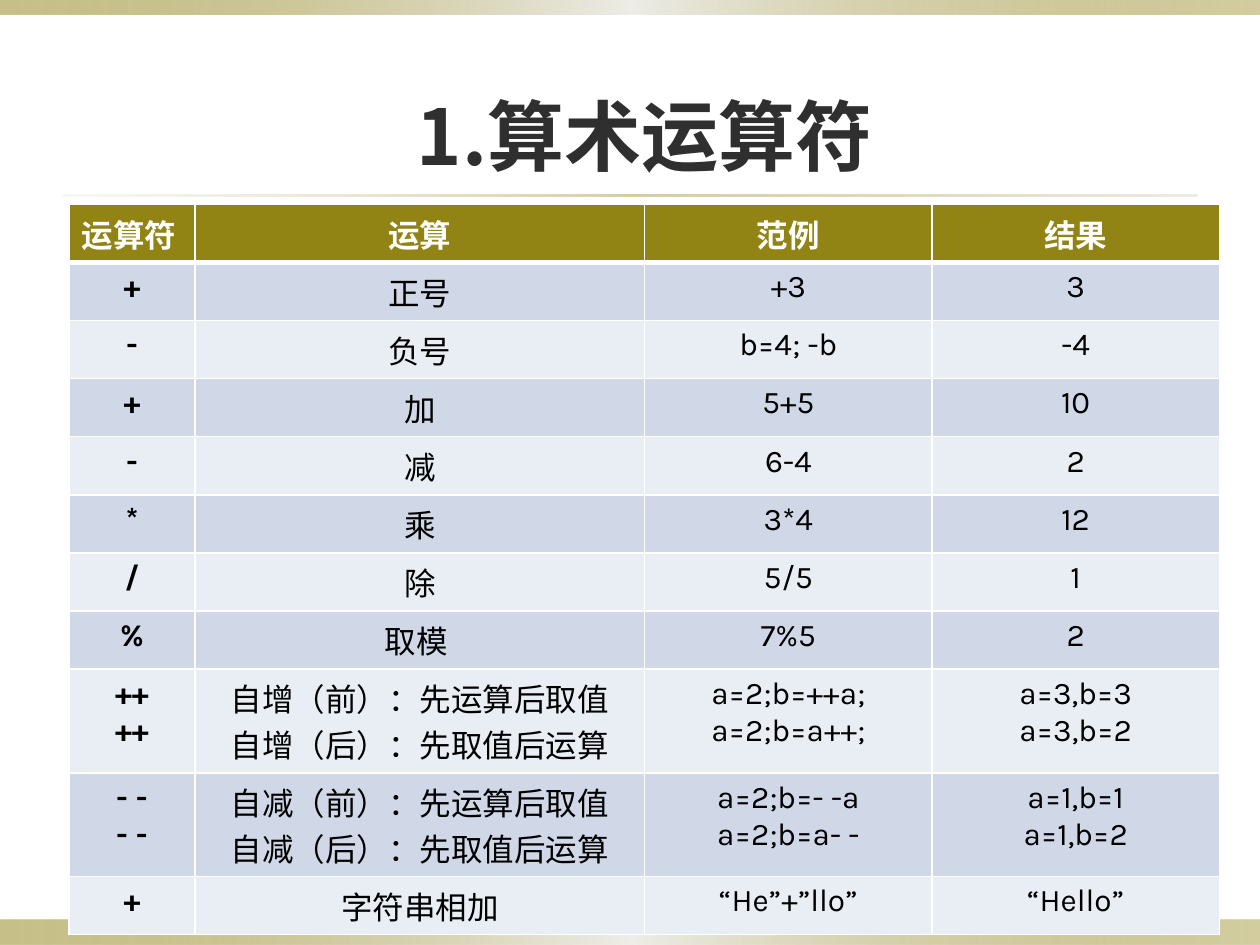
"""Build a slide with a table of arithmetic operators."""
from dataclasses import dataclass

from lxml.etree import SubElement
from pptx import Presentation
from pptx.dml.color import RGBColor as RGB
from pptx.enum.shapes import MSO_SHAPE as Shape
from pptx.enum.text import MSO_ANCHOR as Anchor, PP_ALIGN as Align
from pptx.oxml.ns import qn
from pptx.util import Pt


@dataclass(frozen=True)
class Theme:
    gold: str = "918415"
    pale: str = "EEEDE8"
    sand: str = "DCD9CC"
    title: str = "2F2F2F"
    white: str = "FFFFFF"
    text: str = "000000"
    bands: tuple = ("D0D8E8", "E9EDF4")
    cjk: str = "Noto Sans CJK SC"
    head_font: str = "Times New Roman"
    body_font: str = "Karla"
    title_size: int = 44
    cell_size: int = 18


T = Theme()
BAR_STOPS = ((0, T.gold, 50), (50, T.pale, 100), (100, T.gold, 40))
RULE_STOPS = ((0, T.sand, 20), (50, T.gold, 40), (100, T.sand, 50))
COLUMNS = (72, 257, 164.2, 164.2)
ROW_HEIGHT, TALL_ROW_HEIGHT = 33.2, 59.3
ROWS = (
    ("运算符", "运算", "范例", "结果"),
    ("+", "正号", "+3", "3"),
    ("-", "负号", "b=4; -b", "-4"),
    ("+", "加", "5+5", "10"),
    ("-", "减", "6-4", "2"),
    ("*", "乘", "3*4", "12"),
    ("/", "除", "5/5", "1"),
    ("%", "取模 ", "7%5", "2"),
    ("++\n++", "自增（前）：先运算后取值\n自增（后）：先取值后运算",
     "a=2;b=++a;\na=2;b=a++;", "a=3,b=3\na=3,b=2"),
    ("- -\n- -", "自减（前）：先运算后取值\n自减（后）：先取值后运算",
     "a=2;b=- -a\na=2;b=a- -", "a=1,b=1\na=1,b=2"),
    ("+", "字符串相加", "“He”+”llo”", "“Hello”"),
)


def add_gradient_bar(s, x, y, w, h, stops):
    sp = s.shapes.add_shape(Shape.RECTANGLE, Pt(x), Pt(y), Pt(w), Pt(h))
    sp.shadow.inherit = False
    sp.line.fill.background()
    sp.fill.gradient()
    sp.fill.gradient_angle = 0
    gs_list = sp._element.spPr.find(".//" + qn("a:gsLst"))
    gs_list.clear()
    for pos, color, alpha in stops:
        gs = SubElement(gs_list, qn("a:gs"), pos=str(pos * 1000))
        clr = SubElement(gs, qn("a:srgbClr"), val=color)
        SubElement(clr, qn("a:alpha"), val=str(alpha * 1000))


def write_text(tf, text, font, size, color, bold, align=Align.CENTER):
    tf.text = text
    for p in tf.paragraphs:
        p.alignment = align
        p.font.name = font
        p.font.size = Pt(size)
        p.font.bold = bold
        p.font.color.rgb = RGB.from_string(color)
        SubElement(p.font._rPr, qn("a:ea"), typeface=T.cjk)


def add_title(s, text):
    tf = s.shapes.add_textbox(Pt(218.5), Pt(43), Pt(300), Pt(68)).text_frame
    tf.word_wrap = True
    tf.vertical_anchor = Anchor.MIDDLE
    write_text(tf, text, T.cjk, T.title_size, T.title, True)


def set_borders(cell, **widths):
    tc_pr = cell._tc.get_or_add_tcPr()
    for side, width in widths.items():
        ln = SubElement(tc_pr, qn(f"a:ln{side}"), w=str(Pt(width)))
        fill = SubElement(ln, qn("a:solidFill"))
        SubElement(fill, qn("a:srgbClr"), val=T.white)


def add_operator_table(s):
    heights = [TALL_ROW_HEIGHT if "\n" in row[0] else ROW_HEIGHT for row in ROWS]
    table = s.shapes.add_table(len(ROWS), len(COLUMNS), Pt(39.4), Pt(116.8),
                               Pt(sum(COLUMNS)), Pt(sum(heights))).table
    for column, width in zip(table.columns, COLUMNS):
        column.width = Pt(width)
    for i, (row, height) in enumerate(zip(ROWS, heights)):
        table.rows[i].height = Pt(height)
        head = i == 0
        fill = T.gold if head else T.bands[(i - 1) % 2]
        for j, text in enumerate(row):
            cell = table.cell(i, j)
            set_borders(cell, L=1, R=1, T=3 if i == 1 else 1, B=3 if head else 1)
            cell.fill.solid()
            cell.fill.fore_color.rgb = RGB.from_string(fill)
            write_text(cell.text_frame, text,
                       T.head_font if head else T.body_font, T.cell_size,
                       T.white if head else T.text, head or j == 0,
                       Align.LEFT if head and j == 0 else Align.CENTER)


def main():
    prs = Presentation()
    prs.slide_width, prs.slide_height = Pt(720), Pt(540)
    s = prs.slides.add_slide(prs.slide_layouts[6])
    add_gradient_bar(s, 0, 525.6, 720, 14.4, BAR_STOPS)
    add_gradient_bar(s, 0, 0, 720, 8.6, BAR_STOPS)
    add_gradient_bar(s, 36, 111, 648, 1.4, RULE_STOPS)
    add_title(s, "1.算术运算符")
    add_operator_table(s)
    prs.save("out.pptx")


if __name__ == "__main__":
    main()
